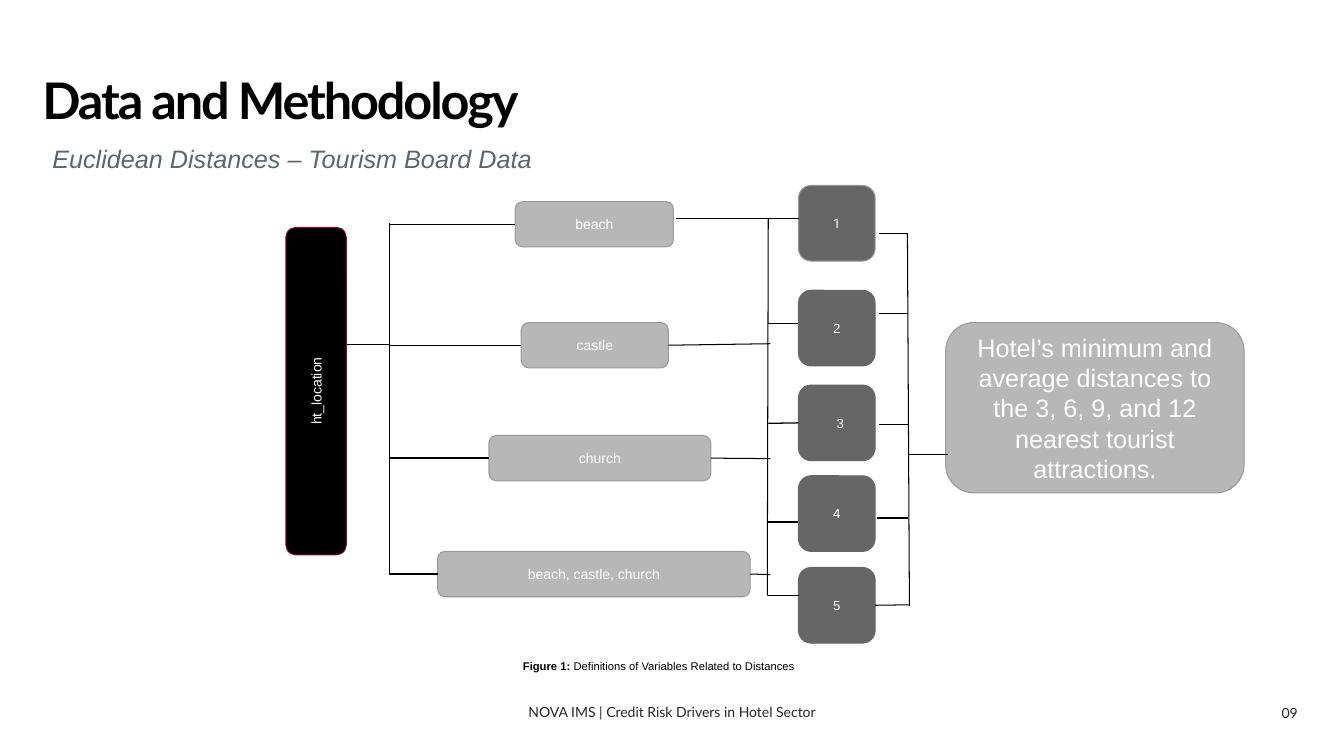
from dataclasses import dataclass

from lxml import etree
from pptx import Presentation
from pptx.dml.color import RGBColor
from pptx.enum.shapes import MSO_CONNECTOR, MSO_SHAPE
from pptx.enum.text import MSO_ANCHOR, MSO_AUTO_SIZE, PP_ALIGN
from pptx.oxml.ns import qn
from pptx.util import Inches, Pt

ROUNDED = MSO_SHAPE.ROUNDED_RECTANGLE
STRAIGHT = MSO_CONNECTOR.STRAIGHT
LEFT, CENTER, RIGHT = PP_ALIGN.LEFT, PP_ALIGN.CENTER, PP_ALIGN.RIGHT
TOP, MIDDLE, BOTTOM = MSO_ANCHOR.TOP, MSO_ANCHOR.MIDDLE, MSO_ANCHOR.BOTTOM
NO_AUTOFIT = MSO_AUTO_SIZE.NONE
LEFT_SITE, RIGHT_SITE = 1, 3


@dataclass(frozen=True)
class Theme:
    black: str = "000000"
    white: str = "FFFFFF"
    subtitle: str = "5C666C"
    footer: str = "262626"
    light: str = "B7B7B7"
    light_edge: str = "999999"
    dark: str = "666666"
    root_edge: str = "840D35"
    heading_font: str = "Lato"
    body_font: str = "Arial"
    first_number_font: str = "Roboto"
    title_size: float = 36
    large_size: float = 18
    label_size: float = 10
    number_size: float = 9.4
    caption_size: float = 8
    edge: float = 0.75
    thin: float = 0.75
    regular: float = 0.9
    thick: float = 1.05


THEME = Theme()

ATTRACTIONS = [
    ("beach", 5.11, 2.0, 1.57),
    ("castle", 5.17, 3.2, 1.46),
    ("church", 4.85, 4.32, 2.2),
    ("beach, castle, church", 4.34, 5.47, 3.1),
]
NUMBER_TOPS = [1.84, 2.88, 3.82, 4.72, 5.63]
NUMBER_LEFT, NUMBER_WIDTH, NUMBER_HEIGHT = 7.92, 0.76, 0.75
LOCATION_TRUNK, NUMBER_TRUNK, RESULT_TRUNK = 3.86, 7.62, 9.01


def style_text(frame, size, color, font=THEME.body_font, align=LEFT, anchor=TOP, spacing=None):
    frame.word_wrap = True
    frame.vertical_anchor = anchor
    for paragraph in frame.paragraphs:
        paragraph.alignment = align
        if spacing:
            paragraph.line_spacing = spacing
        for run in paragraph.runs:
            run.font.size = Pt(size)
            run.font.name = font
            run.font.color.rgb = RGBColor.from_string(color)


def set_insets(frame, inset):
    frame.margin_left = frame.margin_right = Inches(inset)
    frame.margin_top = frame.margin_bottom = Inches(inset)


def add_title(slide, text):
    title = slide.shapes.title
    title.left, title.top = Inches(0.42), Inches(0.76)
    title.width, title.height = Inches(12.45), Inches(0.53)
    frame = title.text_frame
    frame.text = text
    frame.auto_size = NO_AUTOFIT
    set_insets(frame, 0)
    style_text(frame, THEME.title_size, THEME.black, THEME.heading_font, LEFT, BOTTOM, 0.9)
    font = frame.paragraphs[0].runs[0].font
    font.bold = True
    font._element.set("spc", "-150")


def add_text(slide, text, box, size, color, **style):
    frame = slide.shapes.add_textbox(*map(Inches, box)).text_frame
    frame.text = text
    style_text(frame, size, color, **style)
    return frame.paragraphs[0]


def add_node(slide, text, box, fill, edge, size=THEME.label_size, font=THEME.body_font):
    node = slide.shapes.add_shape(ROUNDED, *map(Inches, box))
    node.shadow.inherit = False
    node.fill.solid()
    node.fill.fore_color.rgb = RGBColor.from_string(fill)
    node.line.color.rgb = RGBColor.from_string(edge)
    node.line.width = Pt(THEME.edge)
    node.text_frame.text = text
    set_insets(node.text_frame, 0.09)
    style_text(node.text_frame, size, THEME.white, font, CENTER, MIDDLE)
    return node


def add_link(slide, start, end, width=THEME.thin, from_site=None, to_site=None):
    link = slide.shapes.add_connector(STRAIGHT, *map(Inches, (*start, *end)))
    link.line.color.rgb = RGBColor.from_string(THEME.black)
    link.line.width = Pt(width)
    etree.SubElement(link._element.spPr, qn("a:effectLst"))
    if from_site:
        link.begin_connect(*from_site)
    if to_site:
        link.end_connect(*to_site)


def add_attractions(slide):
    right_ends = [2.17, 3.41, 4.55, 5.7]
    for (label, left, top, width), right_y in zip(ATTRACTIONS, right_ends):
        node = add_node(slide, label, (left, top, width, 0.45), THEME.light, THEME.light_edge)
        middle = top + 0.225
        add_link(slide, (LOCATION_TRUNK, middle), (left, middle), THEME.regular,
                 to_site=(node, LEFT_SITE))
        if label == "beach":
            add_link(slide, (6.7, right_y), (NUMBER_TRUNK, right_y), THEME.regular)
        else:
            add_link(slide, (left + width, middle), (7.64, right_y),
                     from_site=(node, RIGHT_SITE))


def add_numbers(slide):
    nodes = []
    for number, top in enumerate(NUMBER_TOPS, 1):
        edge = THEME.light_edge if number == 1 else THEME.dark
        font = THEME.first_number_font if number == 1 else THEME.body_font
        nodes.append(add_node(slide, str(number), (NUMBER_LEFT, top, NUMBER_WIDTH, NUMBER_HEIGHT),
                              THEME.dark, edge, THEME.number_size, font))
    third, fifth = nodes[2], nodes[4]
    third.text_frame.margin_left = Inches(0.16)

    for y, end, width in [(2.17, 7.92, THEME.thick), (3.21, 7.91, THEME.thick),
                          (5.18, 7.91, THEME.thick), (5.91, 7.92, THEME.thin)]:
        add_link(slide, (NUMBER_TRUNK, y), (end, y), width)
    add_link(slide, (NUMBER_TRUNK, 4.2), (NUMBER_LEFT, 4.2), THEME.regular,
             to_site=(third, LEFT_SITE))

    for y, start in [(2.32, 8.72), (3.11, 8.72), (4.21, 8.72), (5.14, 8.7)]:
        add_link(slide, (start, y), (RESULT_TRUNK, y), THEME.regular)
    add_link(slide, (8.68, 6.0), (9.02, 6.0), from_site=(fifth, RIGHT_SITE))


def add_trunks(slide):
    add_link(slide, (LOCATION_TRUNK, 2.21), (LOCATION_TRUNK, 5.7))
    add_link(slide, (7.61, 5.91), (NUMBER_TRUNK, 2.17))
    add_link(slide, (9.0, 2.32), (9.02, 6.01))
    add_link(slide, (3.44, 3.42), (LOCATION_TRUNK, 3.42), THEME.regular)
    add_link(slide, (RESULT_TRUNK, 4.51), (9.4, 4.51))


def main():
    deck = Presentation()
    deck.slide_width, deck.slide_height = Inches(13.33), Inches(7.5)
    slide = deck.slides.add_slide(deck.slide_layouts[5])

    add_title(slide, "Data and Methodology")
    subtitle = add_text(slide, "Euclidean Distances – Tourism Board Data", (0.42, 1.22, 6.35, 0.5),
                        THEME.large_size, THEME.subtitle, spacing=1.5)
    subtitle.runs[0].font.italic = True

    location = add_node(slide, "ht_location", (1.51, 3.58, 3.25, 0.6),
                        THEME.black, THEME.root_edge)
    location.rotation = 270
    add_attractions(slide)
    add_numbers(slide)
    add_node(slide, "Hotel’s minimum and average distances to the 3, 6, 9, and 12 "
             "nearest tourist attractions.", (9.38, 3.2, 2.96, 1.69),
             THEME.light, THEME.light_edge, THEME.large_size)
    add_trunks(slide)

    caption = add_text(slide, "Figure 1: ", (3.53, 6.49, 6.01, 0.24),
                       THEME.caption_size, THEME.black, align=CENTER)
    caption.runs[0].font.bold = True
    description = caption.add_run()
    description.text = "Definitions of Variables Related to Distances"
    description.font.size = Pt(THEME.caption_size)
    description.font.name = THEME.body_font
    description.font.color.rgb = RGBColor.from_string(THEME.black)

    add_text(slide, "NOVA IMS | Credit Risk Drivers in Hotel Sector", (4.51, 6.94, 4.31, 0.26),
             THEME.label_size, THEME.footer, font=THEME.heading_font,
             align=CENTER, anchor=MIDDLE, spacing=0.9)
    add_text(slide, "09", (12.34, 6.94, 0.63, 0.26), THEME.label_size, THEME.footer,
             font=THEME.heading_font, align=RIGHT, anchor=MIDDLE)

    deck.save("out.pptx")


if __name__ == "__main__":
    main()
